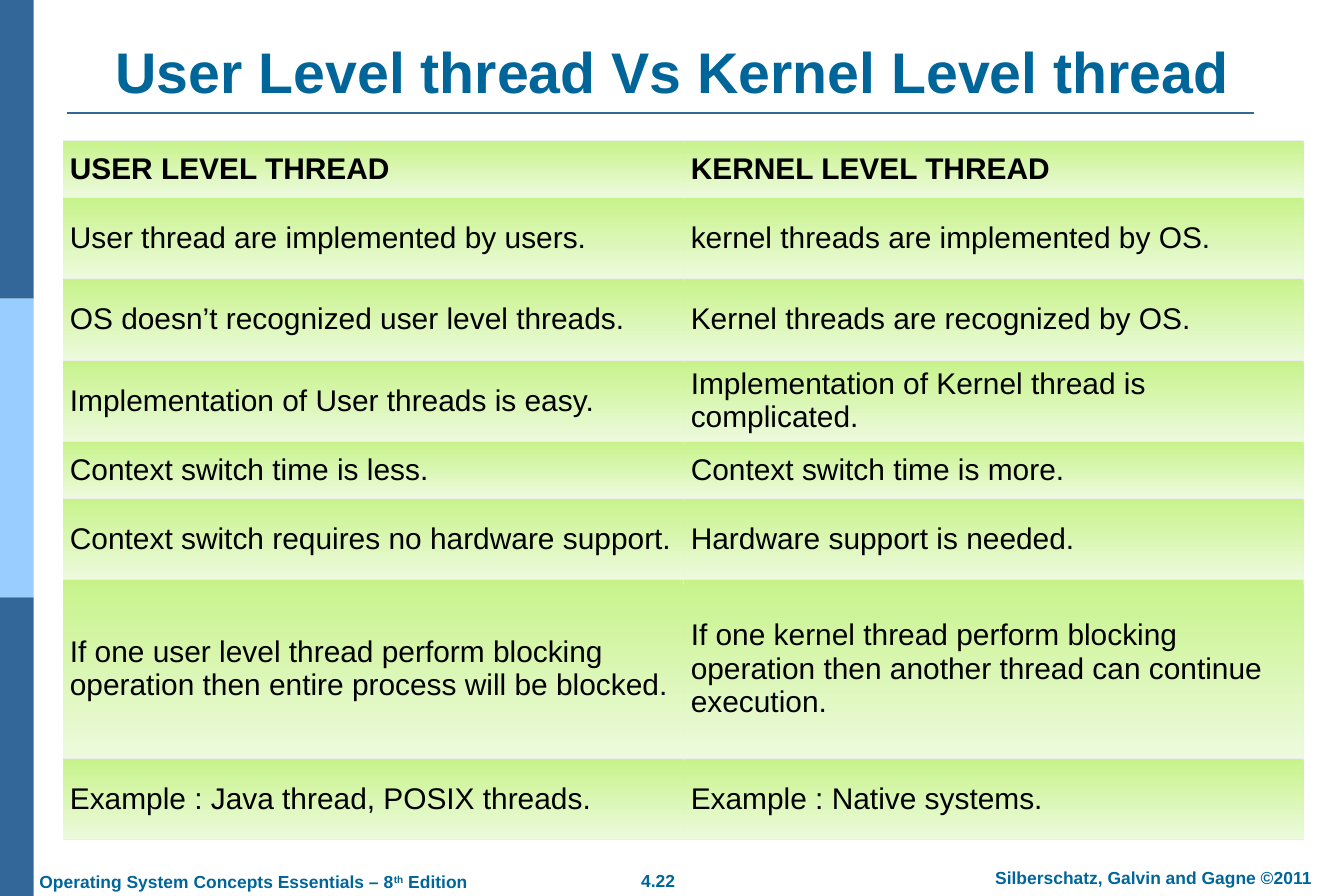
from pptx import Presentation
from pptx.dml.color import RGBColor
from pptx.enum.shapes import MSO_CONNECTOR, MSO_SHAPE
from pptx.enum.text import MSO_ANCHOR, PP_ALIGN
from pptx.oxml import parse_xml
from pptx.oxml.ns import nsdecls, qn
from pptx.util import Inches, Pt
from lxml.etree import SubElement

# Content
TITLE = "User Level thread Vs Kernel Level thread"
COMPARISON = [
    ("USER LEVEL THREAD", "KERNEL LEVEL THREAD"),
    ("User thread are implemented by users.", "kernel threads are implemented by OS."),
    ("OS doesn’t recognized user level threads.", "Kernel threads are recognized by OS."),
    ("Implementation of User threads is easy.",
     "Implementation of Kernel thread is complicated."),
    ("Context switch time is less.", "Context switch time is more."),
    ("Context switch requires no hardware support.", "Hardware support is needed."),
    ("If one user level thread perform blocking operation then entire process will be blocked.",
     "If one kernel thread perform blocking operation then another thread can continue execution."),
    ("Example : Java thread, POSIX threads.", "Example : Native systems."),
]
BOOK = ["Operating System Concepts Essentials – 8", "th", " Edition"]
PAGE = ["4.22"]
AUTHORS = ["Silberschatz, Galvin and Gagne ©2011"]

# Look
FONT = "Arial"
NAVY, SKY, TEAL, BLACK = "336699", "99CCFF", "006699", "000000"
CELL_TOP, CELL_BOTTOM, RULE = "C7F38A", "EDFADD", "EDEDED"
NO_STYLE = "{2D5ABB26-0587-4C30-8999-92F81FD0307C}"

# Grid, in inches
WIDTH, HEIGHT = 15, 10
BAND_WIDTH = WIDTH / 40
TABLE_LEFT, TABLE_TOP = 0.7, 1.57
COLUMNS = [6.93, 6.92]
SHORT, MIDDLE, TALL = 0.63, 0.91, 1.99
ROWS = [SHORT, MIDDLE, MIDDLE, MIDDLE, SHORT, MIDDLE, TALL, MIDDLE]


def color(value):
    return RGBColor.from_string(value)


def set_font(paragraph, size, value, bold):
    font = paragraph.font
    font.name, font.size, font.bold = FONT, Pt(size), bold
    font.color.rgb = color(value)


def add_text(slide, box, parts, size, align, anchor=MSO_ANCHOR.TOP):
    """Every second part is set as a superscript."""
    frame = slide.shapes.add_textbox(*map(Inches, box)).text_frame
    frame.word_wrap = True
    frame.vertical_anchor = anchor
    frame.margin_left = frame.margin_right = Inches(0.14)
    frame.margin_top = frame.margin_bottom = Inches(0.07)
    paragraph = frame.paragraphs[0]
    paragraph.alignment = align
    set_font(paragraph, size, TEAL, True)
    for index, part in enumerate(parts):
        run = paragraph.add_run()
        run.text = part
        if index % 2:
            run.font._element.set("baseline", "30000")


def fill_cell(cell, text, heading):
    cell.text = text
    cell.vertical_anchor = MSO_ANCHOR.MIDDLE
    cell.margin_left = cell.margin_right = Inches(0.08)
    cell.margin_top = cell.margin_bottom = Inches(0.05)
    set_font(cell.text_frame.paragraphs[0], 24, BLACK, heading)
    cell.fill.gradient()
    cell.fill.gradient_angle = 270
    for stop, value in zip(cell.fill.gradient_stops, (CELL_TOP, CELL_BOTTOM)):
        stop.color.rgb = color(value)
    # Thin rules above and below; borders come before the fill
    properties = cell._tc.get_or_add_tcPr()
    for position, side in enumerate(("lnT", "lnB")):
        properties.insert(position, parse_xml(
            f'<a:{side} {nsdecls("a")} w="{Pt(0.34)}"><a:solidFill>'
            f'<a:srgbClr val="{RULE}"/></a:solidFill></a:{side}>'))


def add_comparison(slide):
    frame = slide.shapes.add_table(
        len(ROWS), len(COLUMNS), Inches(TABLE_LEFT), Inches(TABLE_TOP),
        Inches(sum(COLUMNS)), Inches(sum(ROWS)))
    table = frame.table
    table.first_row = table.horz_banding = False
    table._tbl.tblPr.find(qn("a:tableStyleId")).text = NO_STYLE
    for column, width in zip(table.columns, COLUMNS):
        column.width = Inches(width)
    for r, (row, height, texts) in enumerate(zip(table.rows, ROWS, COMPARISON)):
        row.height = Inches(height)
        for cell, text in zip(row.cells, texts):
            fill_cell(cell, text, heading=r == 0)


def add_frame(slide):
    # Side bands, each a third of the height
    band_height = HEIGHT / 3
    for index, value in enumerate((NAVY, SKY, NAVY)):
        band = slide.shapes.add_shape(
            MSO_SHAPE.RECTANGLE, 0, Inches(index * band_height),
            Inches(BAND_WIDTH), Inches(band_height))
        band.shadow.inherit = False
        band.fill.solid()
        band.fill.fore_color.rgb = color(value)
        band.line.fill.background()
    # Rule under the title
    rule = slide.shapes.add_connector(
        MSO_CONNECTOR.STRAIGHT, *map(Inches, (0.75, 1.26, 14, 1.26)))
    rule.line.color.rgb = color(NAVY)
    rule.line.width = Pt(1.5)
    SubElement(rule._element.spPr, qn("a:effectLst"))


def main():
    deck = Presentation()
    deck.slide_width, deck.slide_height = Inches(WIDTH), Inches(HEIGHT)
    slide = deck.slides.add_slide(deck.slide_layouts[6])
    add_frame(slide)
    # Footer
    add_text(slide, (6.65, 9.64, 1.39, 0.38), PAGE, 14, PP_ALIGN.CENTER)
    add_text(slide, (10.65, 9.61, 4.45, 0.38), AUTHORS, 14, PP_ALIGN.CENTER)
    add_text(slide, (0.3, 9.65, 5.06, 0.38), BOOK, 14, PP_ALIGN.LEFT)
    # Title and table
    add_text(slide, (0.75, 0.4, 13.5, 0.84), [TITLE], 46, PP_ALIGN.CENTER, MSO_ANCHOR.BOTTOM)
    add_comparison(slide)
    deck.save("out.pptx")


if __name__ == "__main__":
    main()
